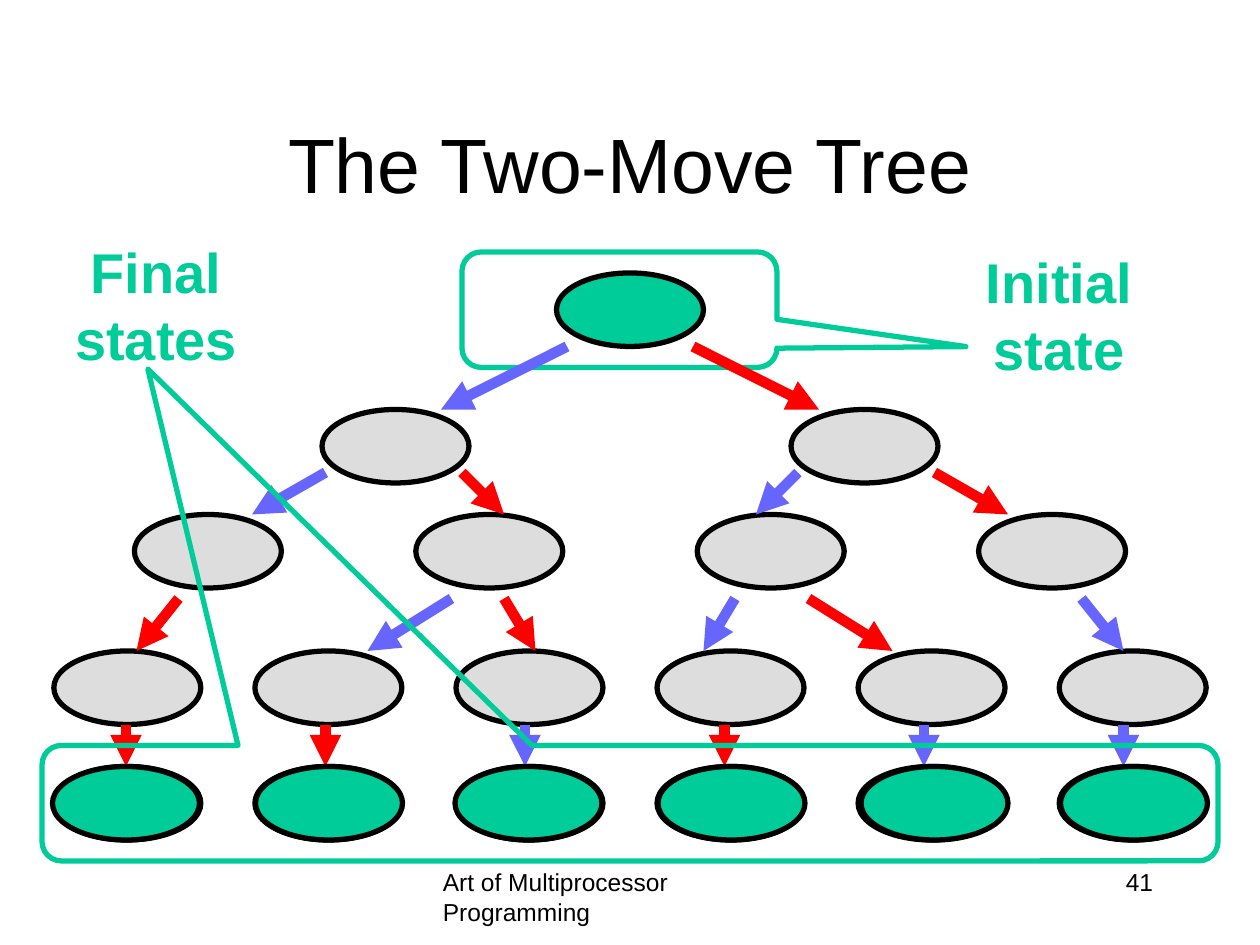
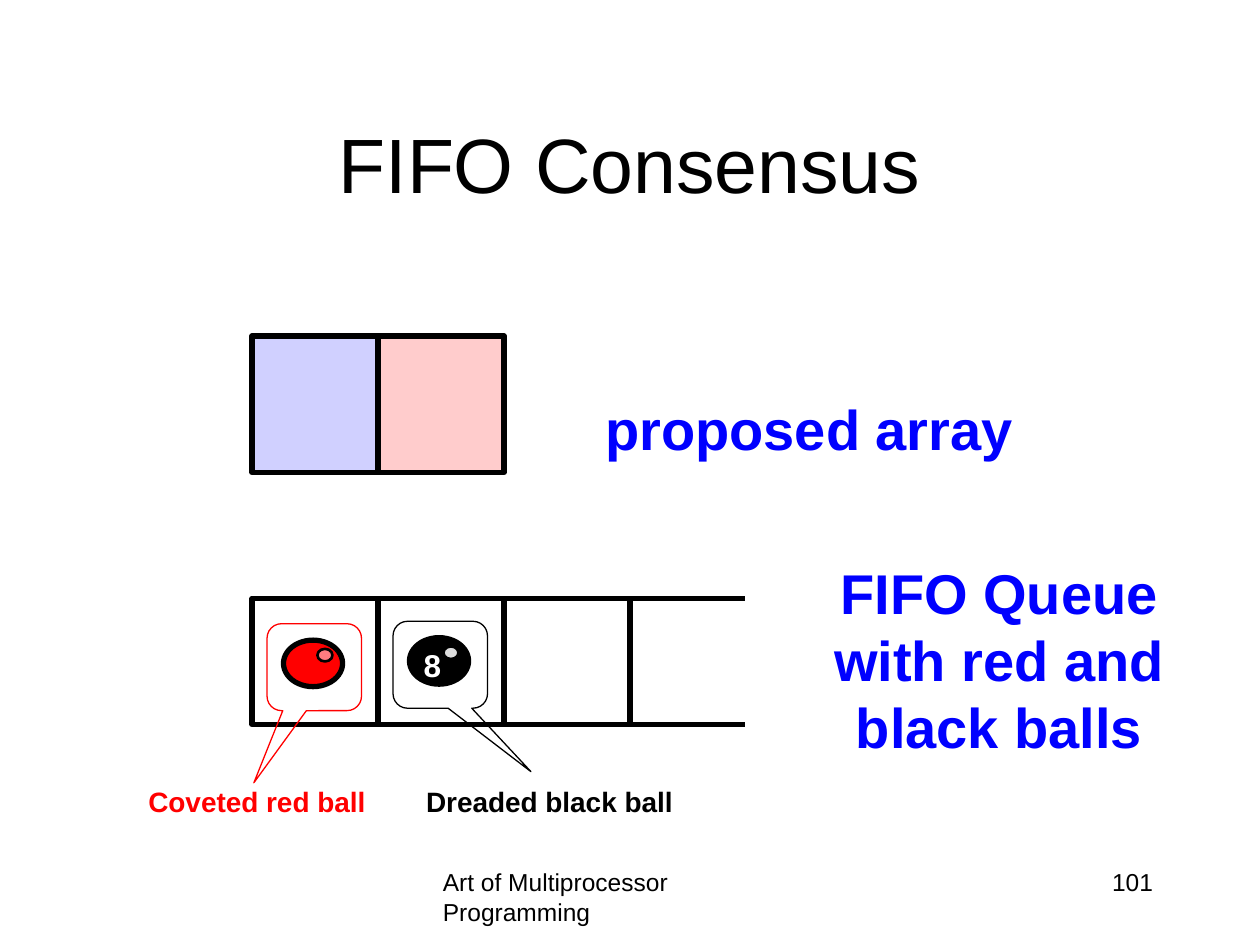
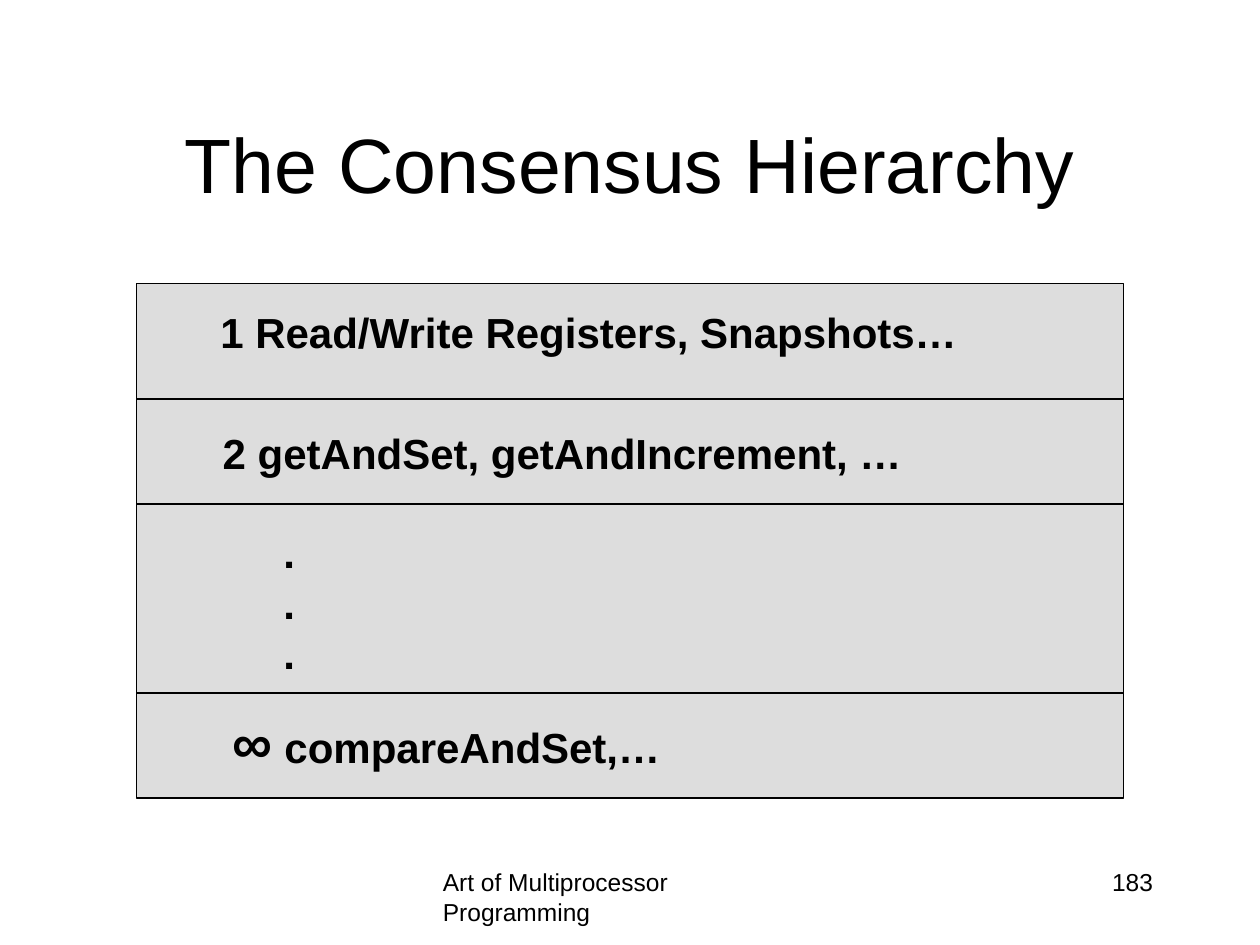
from lxml import etree
from pptx import Presentation
from pptx.dml.color import RGBColor
from pptx.enum.shapes import MSO_CONNECTOR, MSO_SHAPE
from pptx.enum.text import MSO_ANCHOR, MSO_AUTO_SIZE, PP_ALIGN
from pptx.oxml.ns import qn
from pptx.util import Pt

ELLIPSE, RECTANGLE = MSO_SHAPE.OVAL, MSO_SHAPE.RECTANGLE
CALLOUT = MSO_SHAPE.ROUNDED_RECTANGULAR_CALLOUT
STRAIGHT = MSO_CONNECTOR.STRAIGHT
LEFT, CENTER, RIGHT = PP_ALIGN.LEFT, PP_ALIGN.CENTER, PP_ALIGN.RIGHT
MIDDLE, GROW = MSO_ANCHOR.MIDDLE, MSO_AUTO_SIZE.SHAPE_TO_FIT_TEXT

FONT = "Arial"
BLACK, WHITE, GREY = "000000", "FFFFFF", "DDDDDD"
RED, BLUE, GREEN = "FF0000", "6666FF", "00CC99"
PINK, LABEL_BLUE = "FF7C80", "0000FF"
TITLE_BOX = (54, 48, 612, 90)
FOOTER_BOX = (246, 492, 228, 36)
NUMBER_BOX = (516, 492, 150, 36)


def rgb(colour):
    """Turn a hex string into a colour."""
    return RGBColor.from_string(colour)


def points(box):
    """Turn a sequence of numbers into lengths in points."""
    return [Pt(value) for value in box]


def style_paragraphs(frame, size, colour, align, bold):
    """Give all paragraphs of a text frame one style."""
    for paragraph in frame.paragraphs:
        paragraph.alignment = align
        paragraph.font.name = FONT
        paragraph.font.size = Pt(size)
        paragraph.font.bold = bold
        paragraph.font.color.rgb = rgb(colour)


def add_label(shapes, box, text, size, colour, align=LEFT, bold=True, wrap=False, grow=True):
    """Add a text box and return its text frame."""
    frame = shapes.add_textbox(*points(box)).text_frame
    frame.text = text
    frame.word_wrap = wrap
    if grow:
        frame.auto_size = GROW
    style_paragraphs(frame, size, colour, align, bold)
    return frame


def add_figure(shapes, kind, box, fill=None, line=BLACK, width=3, alpha=None):
    """Add an outlined shape, filled if a fill is given."""
    figure = shapes.add_shape(kind, *points(box))
    figure.shadow.inherit = False
    if fill:
        figure.fill.solid()
        figure.fill.fore_color.rgb = rgb(fill)
    else:
        figure.fill.background()
    if alpha:
        tint = figure._element.spPr.find(qn("a:solidFill")).find(qn("a:srgbClr"))
        etree.SubElement(tint, qn("a:alpha"), val=str(alpha * 1000))
    figure.line.color.rgb = rgb(line)
    figure.line.width = Pt(width)
    return figure


def add_callout(shapes, box, tip, colour, width):
    """Add a hollow rounded callout whose tip is given in box fractions."""
    callout = add_figure(shapes, CALLOUT, box, line=colour, width=width)
    callout.adjustments[0], callout.adjustments[1] = tip


def add_line(shapes, ends, colour=BLACK, width=3, arrow=False):
    """Add a straight line, with an arrowhead if wanted."""
    connector = shapes.add_connector(STRAIGHT, *points(ends))
    connector.line.color.rgb = rgb(colour)
    connector.line.width = Pt(width)
    properties = connector._element.spPr
    if arrow:
        etree.SubElement(properties.find(qn("a:ln")), qn("a:tailEnd"), type="triangle")
    etree.SubElement(properties, qn("a:effectLst"))


def start_slide(deck, title, number):
    """Add a slide with its title, footer and number."""
    slide = deck.slides.add_slide(deck.slide_layouts[5])
    heading = slide.shapes.title
    heading.left, heading.top, heading.width, heading.height = points(TITLE_BOX)
    heading.text_frame.text = title
    heading.text_frame.vertical_anchor = MIDDLE
    style_paragraphs(heading.text_frame, 44, BLACK, CENTER, False)
    for box, text, align in ((FOOTER_BOX, "Art of Multiprocessor Programming", LEFT),
                             (NUMBER_BOX, str(number), RIGHT)):
        add_label(slide.shapes, box, text, 14, BLACK, align, bold=False, wrap=True, grow=False)
    return slide.shapes


def add_tree(shapes, middle, top):
    """Draw the move tree around a middle line, below a top edge."""
    node_width, node_height = 84, 42

    def add_node(offset, drop, fill):
        """Add a state centred at an offset from the middle line."""
        box = (middle + offset - node_width / 2, top + drop, node_width, node_height)
        add_figure(shapes, ELLIPSE, box, fill)

    def add_moves(start, end, moves):
        """Add the arrows that lead from one tier to the next."""
        for tail, head, colour in moves:
            add_line(shapes, (middle + tail, top + start, middle + head, top + end),
                     colour, 6, arrow=True)

    for drop, count, pitch in ((78, 2, 268), (138, 4, 160.8), (216, 6, 114.9), (282, 6, 114.9)):
        for i in range(count):
            add_node((i - (count - 1) / 2) * pitch, drop, GREY)

    add_moves(114, 138, ((-174, -216, BLUE), (174, 216, RED), (96, 72, BLUE), (-96, -72, RED)))
    add_moves(186, 216, ((-258, -282, RED), (258, 282, BLUE), (-102, -150, BLUE),
                         (102, 150, RED), (-72, -54, RED), (60, 42, BLUE)))
    last_colours = (RED, RED, BLUE, RED, BLUE, BLUE)
    add_moves(258, 282, [(114 * i - 288, 114 * i - 288, colour)
                         for i, colour in enumerate(last_colours)])

    add_callout(shapes, (middle - 96, top - 12, 180, 66), (1.1, 0.32), GREEN, 3)
    add_label(shapes, (middle + 174, top - 18, 142.5, 84), "Initial state", 32, GREEN,
              CENTER, wrap=True)
    add_callout(shapes, (middle - 336, top + 270, 672, 66), (-0.41, -3.76), GREEN, 3)
    add_label(shapes, (middle - 342, top - 24, 142.5, 84), "Final states", 32, GREEN,
              CENTER, wrap=True)

    add_node(0, 0, GREEN)
    for offset in (-288, -172, -58, 58, 174, 288):
        add_node(offset, 282, GREEN)
    add_moves(42, 78, ((-36, -108, BLUE), (36, 108, RED)))


def add_proposed_array(shapes, left, top):
    """Draw the two-cell array and its label."""
    for i, (fill, alpha) in enumerate(((BLUE, 30), (RED, 20))):
        add_figure(shapes, RECTANGLE, (left + 72 * i, top, 72, 78), fill, alpha=alpha)
    add_label(shapes, (left + 194, top + 30, 249, 48), "proposed array", 32, LABEL_BLUE, CENTER)


def add_ball(shapes, left, top, fill, gloss, tip, digit=None):
    """Draw a glossy ball inside a callout."""
    ball = shapes.add_group_shape().shapes
    add_figure(ball, ELLIPSE, (left + 9.4, top + 9.4, 33.8, 26.6), fill)
    add_figure(ball, ELLIPSE, (left + 28.8, top + 14.4, 8.6, 7.2), gloss, width=1.5)
    if digit:
        add_label(ball, (left + 9.4, top + 10.8, 25.2, 28.8), digit, 18, WHITE, RIGHT)
    add_callout(shapes, (left, top, 54, 49.7), tip, fill, 0.75)


def add_queue(shapes, left, top):
    """Draw the open-ended queue with its balls and labels."""
    cell = 72
    for i in range(3):
        add_figure(shapes, RECTANGLE, (left + cell * i, top, cell, cell))
    for edge in (top, top + cell):
        add_line(shapes, (left + 210, edge, left + 282, edge))
    add_label(shapes, (left + 300, top - 26.6, 254, 124), "FIFO Queue with red and black balls",
              32, LABEL_BLUE, CENTER, wrap=True)
    add_ball(shapes, left + 8.6, top + 14.4, RED, PINK, (-0.64, 1.33))
    add_ball(shapes, left + 80.6, top + 13, BLACK, GREY, (0.96, 1.23), "8")
    for offset, width, caption, colour in ((-70.6, 142.6, "Coveted red ball", RED),
                                           (87.8, 159.8, "Dreaded black ball", BLACK)):
        add_label(shapes, (left + offset, top + 103, width, 26.6), caption, 16, colour, RIGHT)


def add_hierarchy(shapes, left, top, width, height):
    """Draw the ranked levels of the consensus hierarchy."""
    add_figure(shapes, RECTANGLE, (left, top, width, height), GREY, width=0.75)
    for drop in (66, 126, 234):
        add_line(shapes, (left, top + drop, left + width, top + drop), width=0.75)
    levels = (((40.8, 9.4, 447, 36), "1 Read/Write Registers, Snapshots…"),
              ((42.2, 78.5, 420, 36), "2 getAndSet, getAndIncrement, …"),
              ((48, 239, 261, 46), "∞"),
              ((76.8, 135.4, 21, 94.3), ".\n.\n."))
    for (x, y, level_width, level_height), text in levels:
        frame = add_label(shapes, (left + x, top + y, level_width, level_height), text, 24, BLACK)
        if text == "∞":
            paragraph = frame.paragraphs[0]
            paragraph.runs[0].font.size = Pt(32)
            paragraph.add_run().text = " compareAndSet,…"


def main():
    """Build the three slides and save them."""
    deck = Presentation()
    deck.slide_width, deck.slide_height = Pt(720), Pt(540)
    add_tree(start_slide(deck, "The Two-Move Tree", 41), 360, 156)
    fifo = start_slide(deck, "FIFO Consensus", 101)
    add_proposed_array(fifo, 144, 192)
    add_queue(fifo, 144, 342)
    add_hierarchy(start_slide(deck, "The Consensus Hierarchy", 183), 78, 162, 564, 294)
    deck.save("out.pptx")


if __name__ == "__main__":
    main()
